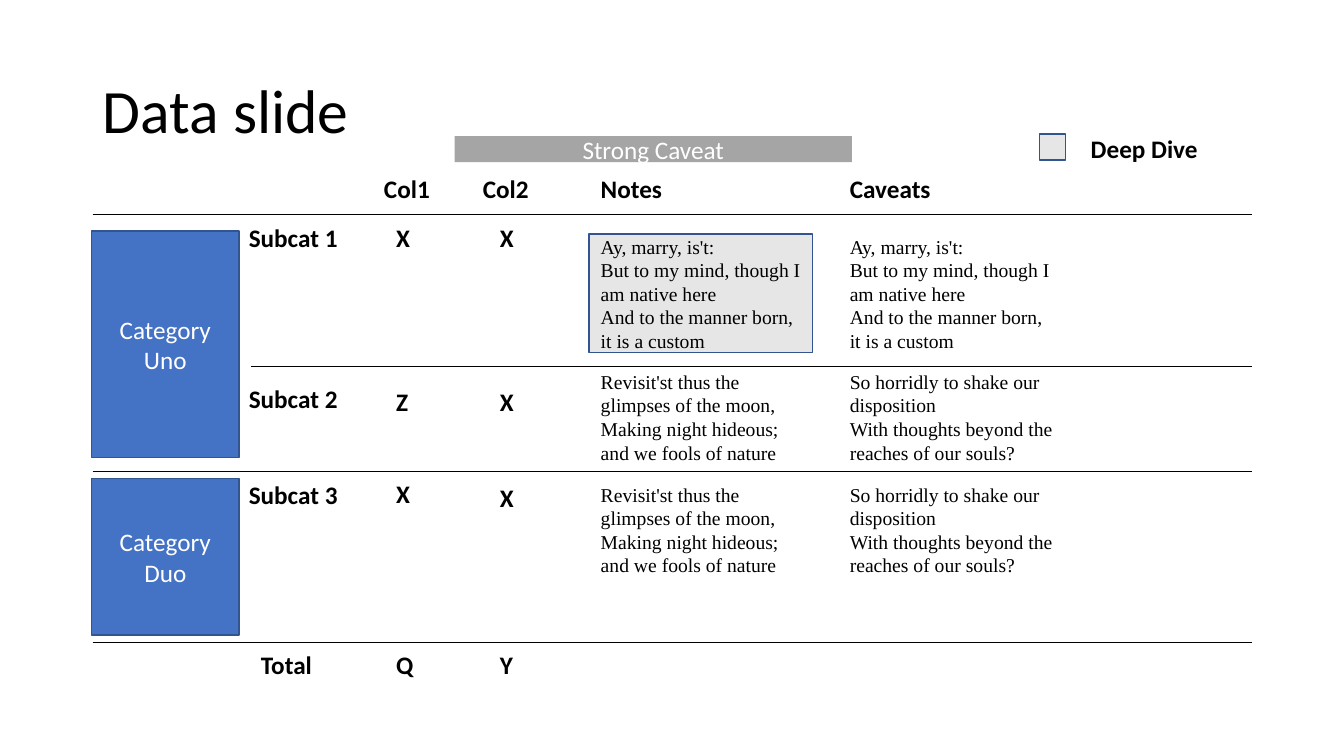
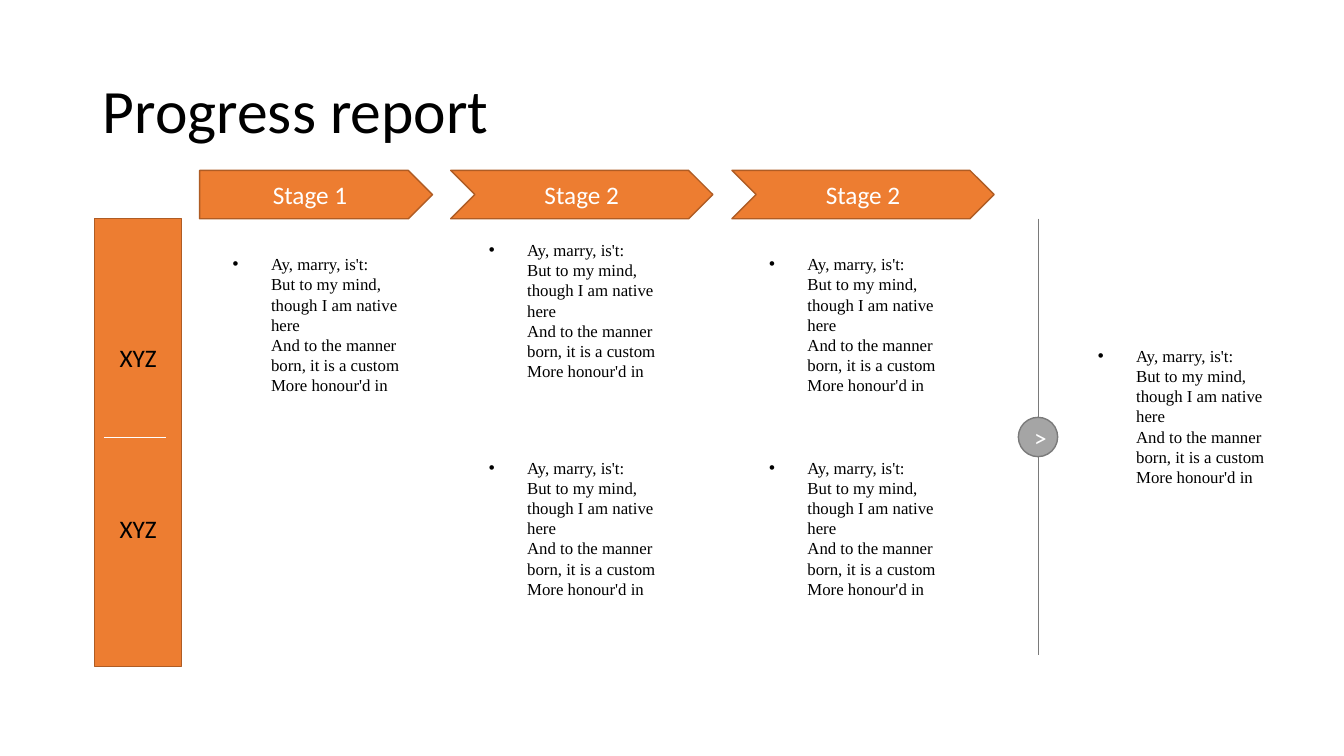
from lxml.etree import SubElement
from pptx import Presentation
from pptx.dml.color import RGBColor
from pptx.enum.shapes import MSO_CONNECTOR, MSO_SHAPE
from pptx.enum.text import MSO_ANCHOR, PP_ALIGN
from pptx.oxml.ns import qn
from pptx.util import Inches, Pt

BLACK = RGBColor(0x00, 0x00, 0x00)
WHITE = RGBColor(0xFF, 0xFF, 0xFF)
BLUE = RGBColor(0x44, 0x72, 0xC4)
DARK_BLUE = RGBColor(0x32, 0x54, 0x91)
ORANGE = RGBColor(0xED, 0x7D, 0x31)
DARK_ORANGE = RGBColor(0xAF, 0x5C, 0x24)
GRAY = RGBColor(0xA5, 0xA5, 0xA5)
DARK_GRAY = RGBColor(0x7A, 0x7A, 0x7A)
LIGHT_GRAY = RGBColor(0xE7, 0xE6, 0xE6)

TITLE = {"name": "Calibri", "size": Pt(44), "bold": False}
LABEL = {"name": "Calibri", "size": Pt(18), "bold": False}
HEADING = {**LABEL, "bold": True}
NOTE = {"name": "Times New Roman", "size": Pt(14), "bold": False}
SMALL_NOTE = {**NOTE, "size": Pt(12)}

TABLE_LEFT, TABLE_RIGHT = 0.92, 12.42
LABEL_HEIGHT = 0.4
BULLET_INDENT = 0.38

CUSTOM = ("Ay, marry, is't:\nBut to my mind, though I am native here\n"
          "And to the manner born, it is a custom")
LONG_CUSTOM = CUSTOM + "\nMore honour'd in"
MOON = ("Revisit'st thus the glimpses of the moon,\n"
        "Making night hideous; and we fools of nature")
SOULS = ("So horridly to shake our disposition\n"
         "With thoughts beyond the reaches of our souls?")


def box(left, top, width, height):
    return [Inches(value) for value in (left, top, width, height)]


def write(frame, text, style, color=BLACK, align=PP_ALIGN.LEFT):
    """Fill the first paragraph; newlines become line breaks of the same size."""
    paragraph = frame.paragraphs[0]
    paragraph.text = text
    paragraph.alignment = align
    for line_break in paragraph._p.findall(qn("a:br")):
        SubElement(line_break, qn("a:rPr"), sz=str(int(style["size"].pt * 100)))
    for run in paragraph.runs:
        for name, value in style.items():
            setattr(run.font, name, value)
        run.font.color.rgb = color
    return paragraph


def add_titled_slide(presentation, title):
    slide = presentation.slides.add_slide(presentation.slide_layouts[5])
    shape = slide.shapes.title
    shape.left, shape.top, shape.width, shape.height = box(0.92, 0.4, 11.5, 1.45)
    shape.text_frame.vertical_anchor = MSO_ANCHOR.MIDDLE
    write(shape.text_frame, title, TITLE).line_spacing = 0.9
    return slide


def add_text(slide, text, left, top, width, height=LABEL_HEIGHT,
             style=HEADING, align=PP_ALIGN.LEFT):
    frame = slide.shapes.add_textbox(*box(left, top, width, height)).text_frame
    frame.word_wrap = True
    return write(frame, text, style, align=align)


def add_bullet(slide, text, left, top):
    paragraph = add_text(slide, text, left, top, 1.85, 1.92, SMALL_NOTE)
    properties = paragraph._p.get_or_add_pPr()
    properties.set("marL", str(Inches(BULLET_INDENT)))
    properties.set("indent", str(-Inches(BULLET_INDENT)))
    SubElement(properties, qn("a:buFont"), typeface="Arial")
    SubElement(properties, qn("a:buChar"), char="•")


def add_block(slide, kind, left, top, width, height, fill, line=None, text=""):
    shape = slide.shapes.add_shape(kind, *box(left, top, width, height))
    shape.shadow.inherit = False
    shape.fill.solid()
    shape.fill.fore_color.rgb = fill
    if line is None:
        shape.line.fill.background()
    else:
        shape.line.color.rgb = line
        shape.line.width = Pt(1)
    if text:
        shape.text_frame.vertical_anchor = MSO_ANCHOR.MIDDLE
        write(shape.text_frame, text, LABEL, WHITE, PP_ALIGN.CENTER)


def add_line(slide, start_x, start_y, end_x, end_y, color=BLACK, width=0.5):
    line = slide.shapes.add_connector(
        MSO_CONNECTOR.STRAIGHT, *box(start_x, start_y, end_x, end_y))
    line.line.color.rgb = color
    line.line.width = Pt(width)
    SubElement(line._element.spPr, qn("a:effectLst"))


def build_data_slide(presentation):
    slide = add_titled_slide(presentation, "Data slide")
    add_block(slide, MSO_SHAPE.RECTANGLE, 5.84, 2.32, 2.22, 1.18,
              LIGHT_GRAY, DARK_BLUE)

    for left, y in ((TABLE_LEFT, 2.13), (2.49, 3.63),
                    (TABLE_LEFT, 4.68), (TABLE_LEFT, 6.37)):
        add_line(slide, left, y, TABLE_RIGHT, y)

    notes_left, caveats_left = 5.86, 8.33
    for text, left, width in (("Col1", 3.71, 0.81), ("Col2", 4.69, 0.81),
                              ("Notes", notes_left, 0.81),
                              ("Caveats", caveats_left, 1.3)):
        add_text(slide, text, left, 1.67, width)

    for text, left, top in (("Subcat 1", 2.37, 2.16), ("Subcat 2", 2.37, 3.75),
                            ("Subcat 3", 2.37, 4.71), ("Total", 2.49, 6.39)):
        add_text(slide, text, left, top, 1.33)

    mark_columns = (
        (3.83, (("X", 2.16), ("Z", 3.78), ("X", 4.7), ("Q", 6.39))),
        (4.86, (("X", 2.16), ("X", 3.78), ("X", 4.74), ("Y", 6.39))),
    )
    for left, marks in mark_columns:
        for mark, top in marks:
            add_text(slide, mark, left, top, 0.3)

    for note, caveat, top, height in ((CUSTOM, CUSTOM, 2.28, 1.28),
                                      (MOON, SOULS, 3.62, 1.04),
                                      (MOON, SOULS, 4.74, 1.04)):
        add_text(slide, note, notes_left, top, 2.21, height, NOTE)
        add_text(slide, caveat, caveats_left, top, 2.21, height, NOTE)

    add_block(slide, MSO_SHAPE.RECTANGLE, 4.51, 1.35, 3.94, 0.26, GRAY,
              text="Strong Caveat")
    for text, top, height in (("Category Uno", 2.29, 2.25),
                              ("Category Duo", 4.75, 1.55)):
        add_block(slide, MSO_SHAPE.RECTANGLE, 0.91, top, 1.46, height,
                  BLUE, DARK_BLUE, text)

    add_block(slide, MSO_SHAPE.RECTANGLE, 10.31, 1.33, 0.26, 0.26,
              LIGHT_GRAY, DARK_BLUE)
    add_text(slide, "Deep Dive", 10.72, 1.27, 1.33)


def build_progress_slide(presentation):
    slide = add_titled_slide(presentation, "Progress report")

    bar_left, bar_width = 0.94, 0.86
    add_block(slide, MSO_SHAPE.RECTANGLE, bar_left, 2.17, bar_width, 4.44,
              ORANGE, DARK_ORANGE)
    add_line(slide, 1.03, 4.34, 1.65, 4.34, WHITE)
    for top in (3.35, 5.04):
        add_text(slide, "XYZ", bar_left, top, bar_width, style=LABEL,
                 align=PP_ALIGN.CENTER)

    for kind, text, left, width in (
            (MSO_SHAPE.PENTAGON, "Stage 1", 1.98, 2.31),
            (MSO_SHAPE.CHEVRON, "Stage 2", 4.47, 2.6),
            (MSO_SHAPE.CHEVRON, "Stage 2", 7.26, 2.6)):
        add_block(slide, kind, left, 1.69, width, 0.48, ORANGE, DARK_ORANGE, text)

    for left, top in ((2.21, 2.47), (4.75, 2.33), (4.75, 4.49),
                      (7.53, 2.47), (7.53, 4.49), (10.79, 3.38)):
        add_bullet(slide, LONG_CUSTOM, left, top)

    add_line(slide, 10.3, 2.17, 10.3, 6.5, DARK_GRAY, 1)
    add_block(slide, MSO_SHAPE.OVAL, 10.1, 4.14, 0.39, 0.39, GRAY, DARK_GRAY, ">")


def main():
    presentation = Presentation()
    presentation.slide_width = Inches(13.33)
    presentation.slide_height = Inches(7.5)
    build_data_slide(presentation)
    build_progress_slide(presentation)
    presentation.save("out.pptx")


if __name__ == "__main__":
    main()
